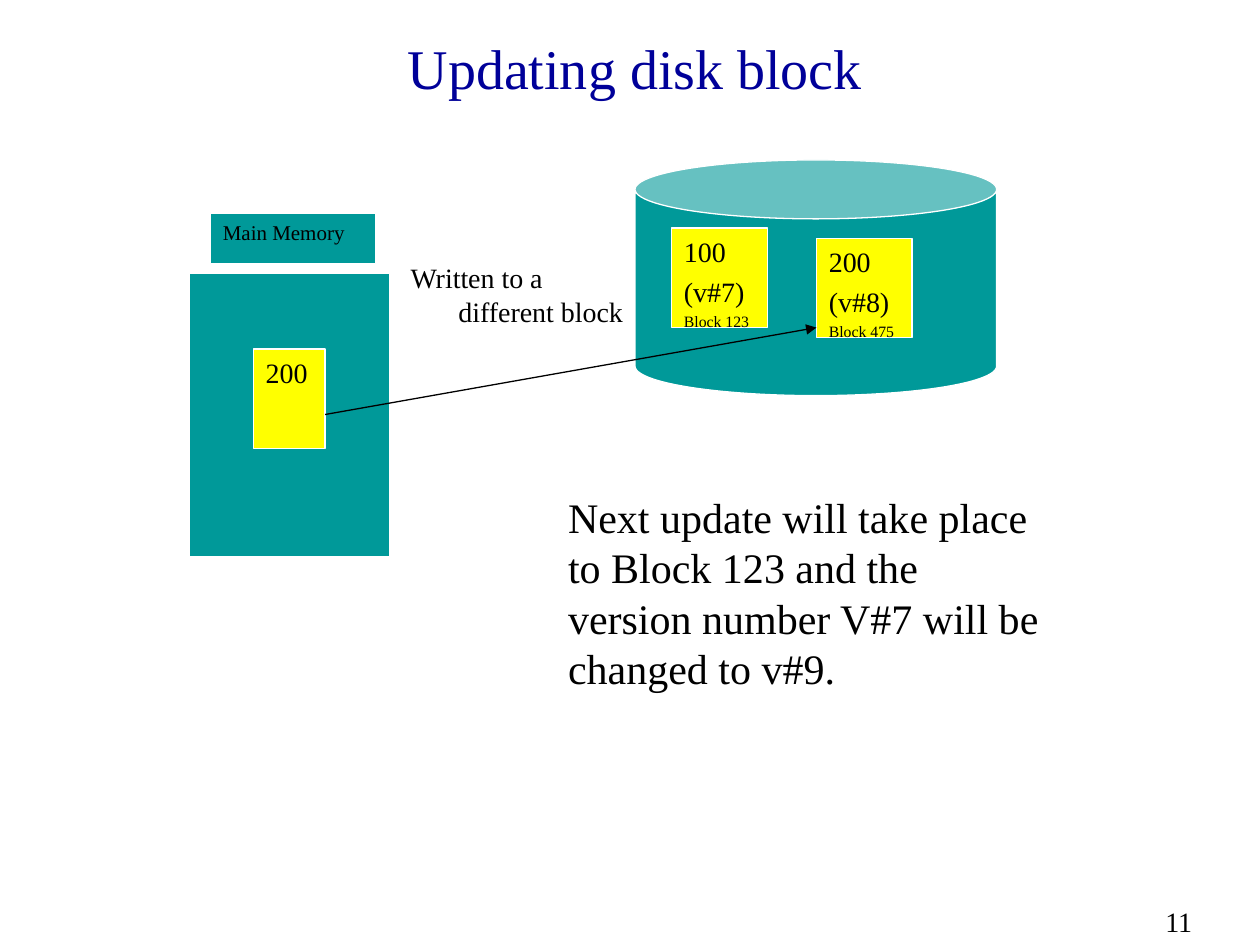
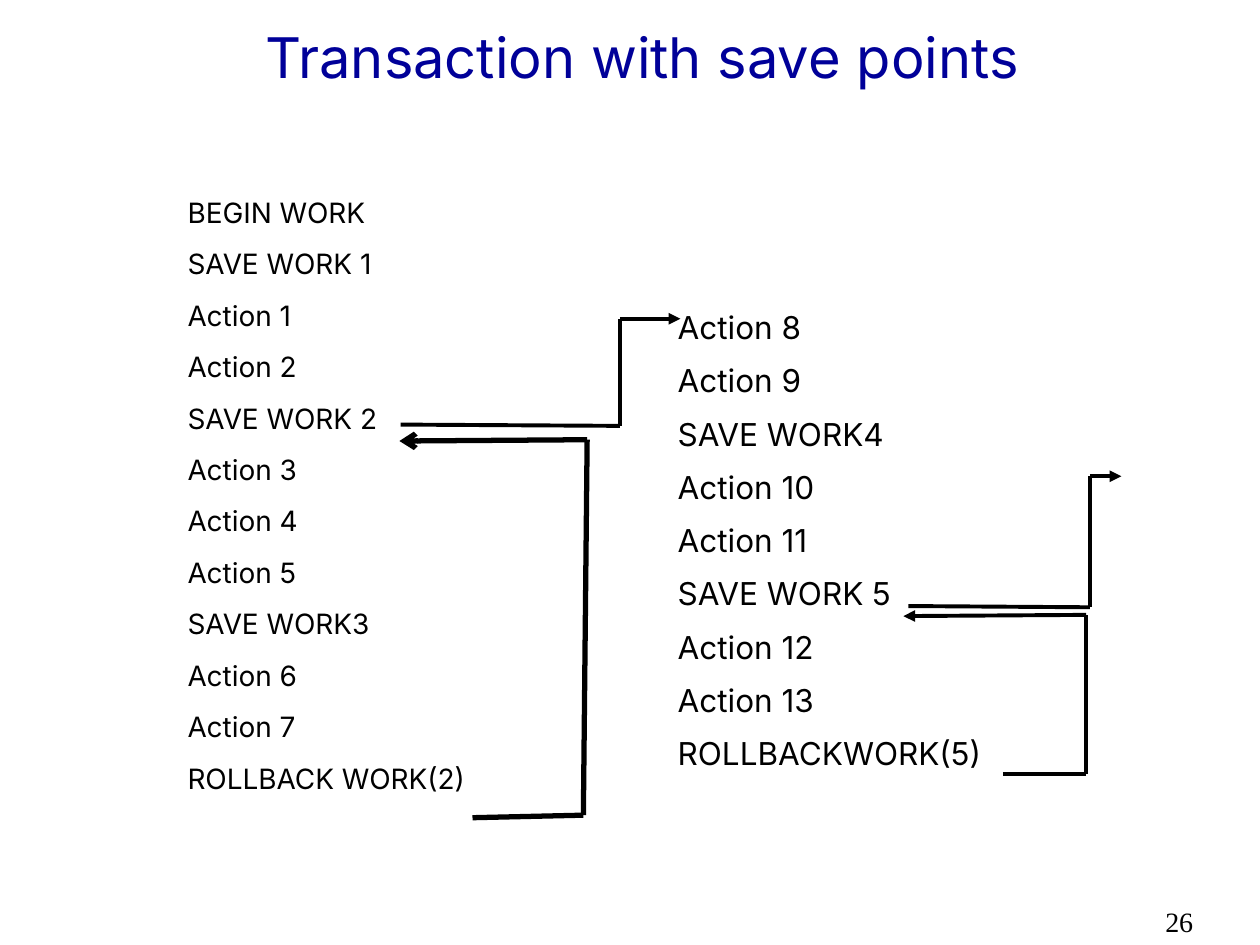
from itertools import pairwise

from lxml.etree import SubElement
from pptx import Presentation
from pptx.dml.color import RGBColor
from pptx.enum.shapes import MSO_CONNECTOR, MSO_SHAPE
from pptx.enum.text import MSO_ANCHOR, PP_ALIGN
from pptx.oxml.ns import qn
from pptx.util import Inches, Pt

BLACK = RGBColor(0x00, 0x00, 0x00)
WHITE = RGBColor(0xFF, 0xFF, 0xFF)
NAVY = RGBColor(0x00, 0x00, 0x99)
TEAL = RGBColor(0x00, 0x99, 0x99)
YELLOW = RGBColor(0xFF, 0xFF, 0x00)
SERIF = "Times New Roman"
SANS = "Inter"
STEP_PITCH = Pt(21.4)
HANGING = Inches(0.38)

LEFT_STEPS = [
    "BEGIN WORK", "SAVE WORK 1", "Action 1", "Action 2", "SAVE WORK 2",
    "Action 3", "Action 4", "Action 5", "SAVE WORK3", "Action 6",
    "Action 7", "ROLLBACK WORK(2)",
]
RIGHT_STEPS = [
    "Action 8", "Action 9", "SAVE WORK4", "Action 10", "Action 11",
    "SAVE WORK 5", "Action 12", "Action 13", "ROLLBACKWORK(5)",
]


def write(shape, lines, sizes, font=SERIF, color=BLACK, align=PP_ALIGN.LEFT,
          anchor=MSO_ANCHOR.TOP, gap=0, pitch=None, hanging=False):
    """Fill a shape with paragraphs; gap is a share of the font size."""
    frame = shape.text_frame
    frame.word_wrap = True
    frame.vertical_anchor = anchor
    frame.text = "\n".join(lines)
    for index, (paragraph, size) in enumerate(zip(frame.paragraphs, sizes)):
        paragraph.alignment = align
        if pitch:
            paragraph.line_spacing = pitch
        if gap and index:
            paragraph.space_before = Pt(gap * size)
        if hanging:
            properties = paragraph._p.get_or_add_pPr()
            properties.set("marL", str(HANGING))
            properties.set("indent", str(-HANGING))
        for run in paragraph.runs:
            run.font.size = Pt(size)
            run.font.name = font
            run.font.color.rgb = color


def add_text(slide, box, lines, sizes, **style):
    """Add a wrapping text box."""
    shape = slide.shapes.add_textbox(*map(Inches, box))
    write(shape, lines, sizes, **style)


def add_block(slide, box, fill, kind=MSO_SHAPE.RECTANGLE, width=0.75):
    """Add a white-edged preset shape, unfilled when fill is None."""
    shape = slide.shapes.add_shape(kind, *map(Inches, box))
    shape.shadow.inherit = False
    if fill is None:
        shape.fill.background()
    else:
        shape.fill.solid()
        shape.fill.fore_color.rgb = fill
    shape.line.color.rgb = WHITE
    shape.line.width = Pt(width)
    return shape


def add_route(shapes, points, width, head="triangle"):
    """Join the points with straight lines and put an arrowhead on the last."""
    for start, end in pairwise(points):
        line = shapes.add_connector(
            MSO_CONNECTOR.STRAIGHT, *map(Inches, (*start, *end)))
        line.line.color.rgb = BLACK
        line.line.width = Pt(width)
        properties = line._element.spPr
        if end == points[-1]:
            SubElement(properties.find(qn("a:ln")), qn("a:tailEnd"), type=head)
        SubElement(properties, qn("a:effectLst"))


def add_slide(presentation, title, number, left, top, **style):
    """Add a blank slide with its title and page number."""
    slide = presentation.slides.add_slide(presentation.slide_layouts[6])
    add_text(slide, (9.15, 7.13, 0.85, 0.37), [number], [16], hanging=True)
    add_text(slide, (left, top, 8.5, 0.69), [title], [32], color=NAVY,
             align=PP_ALIGN.CENTER, anchor=MSO_ANCHOR.MIDDLE, **style)
    return slide


def add_record(slide, left, top, width, lines):
    """Add a yellow data block; a third line is its small block label."""
    block = add_block(slide, (left, top, width, 0.79), YELLOW)
    write(block, lines, [16, 16, 9], gap=0.23)


def add_disk(slide, left, top):
    """Add the disk with the old and the new version of the block."""
    add_block(slide, (left, top, 2.87, 1.87), TEAL, MSO_SHAPE.CAN)
    add_record(slide, left + 0.29, top + 0.54, 0.76,
               ["100", "(v#7)", "Block 123"])
    add_record(slide, left + 1.44, top + 0.62, 0.76,
               ["200", "(v#8)", "Block 475"])


def add_memory(slide, left, top):
    """Add the main memory, its label and the record it holds."""
    label = add_block(slide, (left + 0.17, top, 1.31, 0.4), TEAL)
    write(label, ["Main Memory"], [12], hanging=True)
    add_block(slide, (left, top + 0.48, 1.59, 2.25), TEAL)
    add_record(slide, left + 0.51, top + 1.08, 0.57, ["200"])


def build_update_slide(presentation):
    """Build the slide on updating a disk block."""
    slide = add_slide(presentation, "Updating disk block", "11", 0.79, 0.19)
    add_disk(slide, 5.04, 1.27)
    add_memory(slide, 1.5, 1.69)
    add_route(slide.shapes, [(2.58, 3.29), (6.48, 2.6)], 0.75)
    add_text(slide, (3.16, 2.02, 1.92, 0.82),
             ["Written to a different block"], [16], hanging=True)
    add_text(slide, (4.41, 3.85, 3.95, 1.72),
             ["Next update will take place to Block 123 and the version "
              "number V#7 will be changed to v#9."], [24])


def write_steps(shape, steps, size):
    """Write one column of transaction steps."""
    write(shape, steps, [size] * len(steps), font=SANS, gap=0.5,
          pitch=STEP_PITCH)


def build_save_point_slide(presentation):
    """Build the slide on save points and rollbacks."""
    slide = add_slide(presentation, "Transaction with save points", "26",
                      0.85, 0.22, font=SANS, pitch=STEP_PITCH)
    column = slide.shapes.add_textbox(
        *map(Inches, (1.39, 1.47, 3.44, 5.39)))
    write_steps(column, LEFT_STEPS, 16)
    column = add_block(slide, (5.28, 2.4, 3.78, 4.14), None, width=2.25)
    write_steps(column, RIGHT_STEPS, 18)
    routes = [
        ([(3.18, 3.37), (4.92, 3.38), (4.92, 2.53), (5.4, 2.53)],
         2.25, "triangle"),
        ([(7.21, 4.81), (8.65, 4.82), (8.65, 3.78), (8.9, 3.78)],
         2.25, "triangle"),
        ([(7.96, 6.14), (8.62, 6.14), (8.62, 4.88), (7.17, 4.89)],
         2.25, "triangle"),
        ([(3.75, 6.49), (4.63, 6.47), (4.66, 3.49), (3.17, 3.5)],
         3, "arrow"),
    ]
    for points, width, head in routes:
        add_route(slide.shapes.add_group_shape().shapes, points, width, head)


def main():
    """Build and save the presentation."""
    presentation = Presentation()
    presentation.slide_width = Inches(10)
    presentation.slide_height = Inches(7.5)
    build_update_slide(presentation)
    build_save_point_slide(presentation)
    presentation.save("out.pptx")


main()
